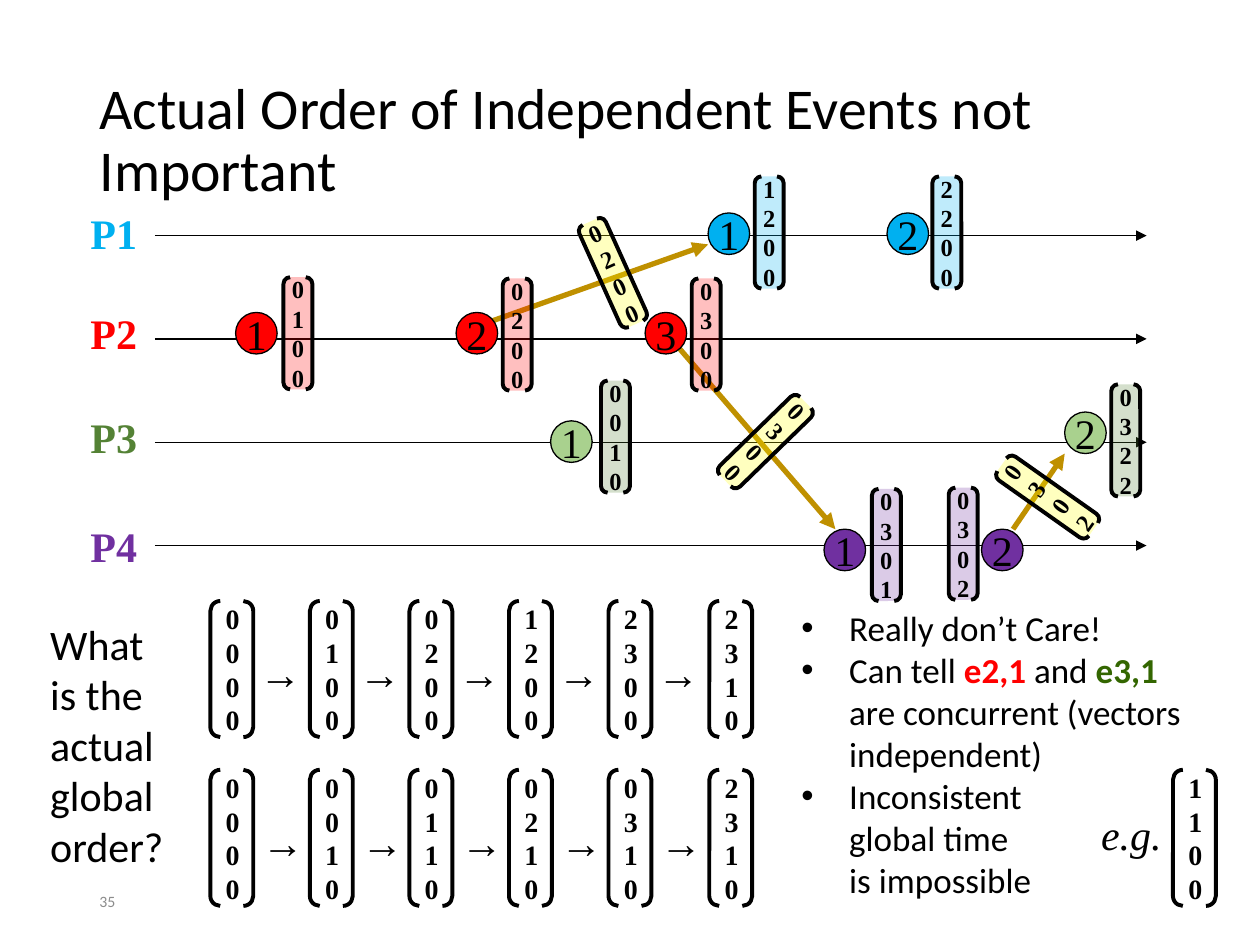
import pptx
import pptx.util
import pptx.dml.color
import pptx.enum.shapes
import pptx.enum.text
import pptx.oxml
import pptx.oxml.ns

RGBColor = pptx.dml.color.RGBColor
Pt = pptx.util.Pt
Shape = pptx.enum.shapes.MSO_SHAPE
Align = pptx.enum.text.PP_ALIGN
Anchor = pptx.enum.text.MSO_ANCHOR
qn = pptx.oxml.ns.qn

BLACK = RGBColor(0x00, 0x00, 0x00)
GRAY = RGBColor(0x8C, 0x8C, 0x8C)
BLUE = RGBColor(0x00, 0xB0, 0xF0)
RED = RGBColor(0xFF, 0x00, 0x00)
GREEN = RGBColor(0x54, 0x82, 0x35)
LIGHT_GREEN = RGBColor(0xA9, 0xD1, 0x8E)
DARK_GREEN = RGBColor(0x33, 0x66, 0x00)
PURPLE = RGBColor(0x70, 0x30, 0xA0)
YELLOW = RGBColor(0xFF, 0xFF, 0x00)
GOLD = RGBColor(0xBF, 0x90, 0x00)
SANS, SERIF = "Calibri", "Times New Roman"

# Process: label top, label and vector colour, event colour,
# events as (circle left, circle top, vector left, vector top, vector)
PROCESSES = {
    "P1": (20, BLUE, BLUE, [(500, 29, 537, 0, "1200"), (642, 29, 678, 0, "2200")]),
    "P2": (99, RED, RED, [(125, 108, 163, 80, "0100"), (300, 108, 337, 81, "0200"),
                          (450, 108, 487, 81, "0300")]),
    "P3": (182, GREEN, LIGHT_GREEN, [(375, 194, 415, 162, "0010"),
                                     (783, 187, 820, 165, "0322")]),
    "P4": (268, PURPLE, PURPLE, [(592, 280, 630, 248, "0301"), (717, 280, 691, 247, "0302")]),
}
# Message: arrow start and end, vector left and top, rotation, vector
MESSAGES = [
    ((325, 116), (500, 54), 413, 32, 335.7, "0200"),
    ((475, 134), (601, 280), 534, 166, 45.8, "0300"),
    ((742, 280), (783, 220), 758, 210, 305.2, "0302"),
]
ORDERS = [
    ["0000", "0100", "0200", "1200", "2300", "2310"],
    ["0000", "0010", "0110", "0210", "0310", "2310"],
]


def px(value):
    """100 px to the inch."""
    return pptx.util.Emu(value * 9144)


def format_paragraph(paragraph, size, name, color=BLACK, bold=False, align=Align.LEFT):
    font = paragraph.font
    font.size, font.name, font.bold = Pt(size), name, bold
    font.color.rgb = color
    paragraph.alignment = align


def place(shape, left, top, width, height):
    shape.left, shape.top, shape.width, shape.height = map(px, (left, top, width, height))


def add_lines(frame, lines, *style, **options):
    frame.text = "\n".join(lines)
    for paragraph in frame.paragraphs:
        format_paragraph(paragraph, *style, **options)


def add_label(slide, box, lines, *style, **options):
    shape = slide.shapes.add_textbox(*map(px, box))
    shape.text_frame.word_wrap = False
    add_lines(shape.text_frame, lines, *style, **options)
    return shape


def add_outlined(slide, kind, box, line_width, fill=None):
    shape = slide.shapes.add_shape(kind, *map(px, box))
    shape.shadow.inherit = False
    shape.line.color.rgb = BLACK
    shape.line.width = Pt(line_width)
    if fill is None:
        shape.fill.background()
    else:
        shape.fill.solid()
        shape.fill.fore_color.rgb = fill
    shape.text_frame.word_wrap = False
    shape.text_frame.vertical_anchor = Anchor.MIDDLE
    return shape


def add_arrow(slide, start, end, color, width):
    connector = slide.shapes.add_connector(
        pptx.enum.shapes.MSO_CONNECTOR.STRAIGHT, *map(px, start + end))
    connector.line.color.rgb = color
    connector.line.width = Pt(width)
    line = connector.line._get_or_add_ln()
    line.append(pptx.oxml.parse_xml(
        f'<a:tailEnd {pptx.oxml.ns.nsdecls("a")} type="triangle"/>'))
    line.addnext(line.makeelement(qn("a:effectLst"), {}))


def add_state(slide, left, top, vector):
    shape = add_outlined(slide, Shape.DOUBLE_BRACKET, (left, top, 34, 108), 2.25)
    shape.adjustments[0] = 0.23
    add_lines(shape.text_frame, vector, 16, SERIF, bold=True)


def add_clock(slide, left, top, vector, color, rotation=0):
    shape = add_outlined(slide, Shape.DOUBLE_BRACKET, (left, top, 23, 89), 2.25, color)
    shape.adjustments[0] = 0.23
    shape.rotation = rotation
    # 25 % opaque fill
    color_element = shape.fill._xPr.find(qn("a:solidFill"))[0]
    color_element.append(color_element.makeelement(qn("a:alpha"), {"val": "25000"}))
    frame = shape.text_frame
    frame.margin_left = frame.margin_right = frame.margin_top = frame.margin_bottom = px(4)
    add_lines(frame, vector, 14, SERIF, bold=True, align=Align.CENTER)


def add_title(slide, left, top):
    title = slide.shapes.title
    place(title, left, top, 862, 145)
    title.text_frame.vertical_anchor = Anchor.MIDDLE
    title.text_frame.auto_size = pptx.enum.text.MSO_AUTO_SIZE.NONE
    add_lines(title.text_frame, ["Actual Order of Independent Events not Important"], 33, SANS)
    title.text_frame.paragraphs[0].line_spacing = 0.9


def add_space_time_diagram(slide, left, top):
    # Process lines and labels
    for row, (name, (label_top, color, _, _)) in enumerate(PROCESSES.items()):
        y = top + 47 + 82 * row
        add_arrow(slide, (left + 61, y), (left + 848, y), BLACK, 0.75)
        add_label(slide, (left, top + label_top, 57, 51), [name], 24, SERIF, color, bold=True)
    # Message arrows
    for (x1, y1), (x2, y2), *_ in MESSAGES:
        add_arrow(slide, (left + x1, top + y1), (left + x2, top + y2), GOLD, 3)
    # Events with their vector clocks
    for _, color, event_color, events in PROCESSES.values():
        for number, (x, y, clock_x, clock_y, vector) in enumerate(events, 1):
            circle = add_outlined(slide, Shape.OVAL, (left + x, top + y, 33, 33),
                                  0.75, event_color)
            add_lines(circle.text_frame, [str(number)], 24, SERIF, align=Align.CENTER)
            add_clock(slide, left + clock_x, top + clock_y, vector, color)
    # Vectors carried by the messages
    for _, _, x, y, rotation, vector in MESSAGES:
        add_clock(slide, left + x, top + y, vector, YELLOW, rotation)


def add_global_orders(slide, left, top):
    add_label(slide, (left, top + 9, 111, 212),
              ["What", "is the", "actual", "global", "order?"], 24, SANS)
    for row, states in enumerate(ORDERS):
        y = top + 134 * row
        for column, vector in enumerate(states):
            x = left + 137 + column * 396 // 5
            add_state(slide, x, y, vector)
            if column < len(states) - 1:
                add_label(slide, (x + 29 + 2 * row, y + 32, 53, 50), ["→"], 24, SERIF)


def add_conclusions(slide, left, top):
    body = slide.placeholders[1]
    place(body, left, top, 339, 279)
    frame = body.text_frame
    frame.auto_size = pptx.enum.text.MSO_AUTO_SIZE.NONE
    frame.vertical_anchor = Anchor.TOP
    add_lines(frame, ["Really don’t Care!", "",
                      "Inconsistent\vglobal time\vis impossible"], 20, SANS)
    for text, color in [("Can tell ", None), ("e2,1", RED), (" and ", None),
                        ("e3,1", DARK_GREEN), (" are concurrent (vectors independent)", None)]:
        run = frame.paragraphs[1].add_run()
        run.text = text
        if color is not None:
            run.font.bold = True
            run.font.color.rgb = color
    for paragraph in frame.paragraphs:
        paragraph.space_before = Pt(0)
        properties = paragraph._p.get_or_add_pPr()
        properties.set("marL", str(px(38)))
        properties.set("indent", str(px(-38)))
    # Example of an inconsistent state
    example = add_label(slide, (left + 238, top + 161, 69, 50), ["e.g."], 24, SERIF)
    example.text_frame.paragraphs[0].font.italic = True
    add_state(slide, left + 305, top + 135, "1100")


def add_page_number(slide, left, top):
    number = add_label(slide, (left, top, 225, 40), ["35"], 9, SANS, GRAY)
    number.text_frame.word_wrap = True
    number.text_frame.vertical_anchor = Anchor.MIDDLE


def main():
    presentation = pptx.Presentation()
    presentation.slide_width, presentation.slide_height = px(1000), px(750)
    slide = presentation.slides.add_slide(presentation.slide_layouts[1])
    add_title(slide, 69, 40)
    add_page_number(slide, 69, 695)
    add_space_time_diagram(slide, 62, 140)
    add_global_orders(slide, 30, 477)
    add_conclusions(slide, 626, 476)
    presentation.save("out.pptx")


if __name__ == "__main__":
    main()
